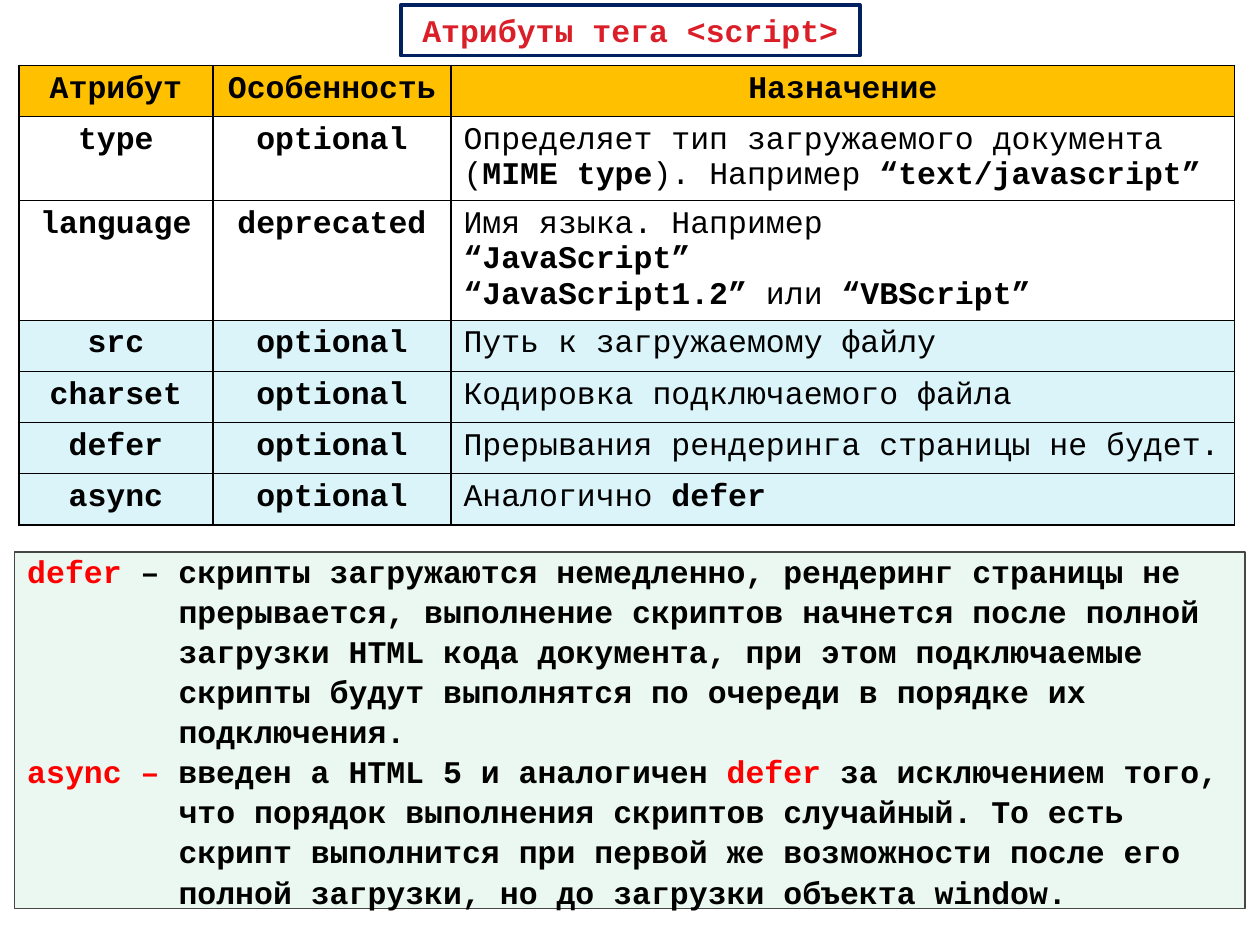
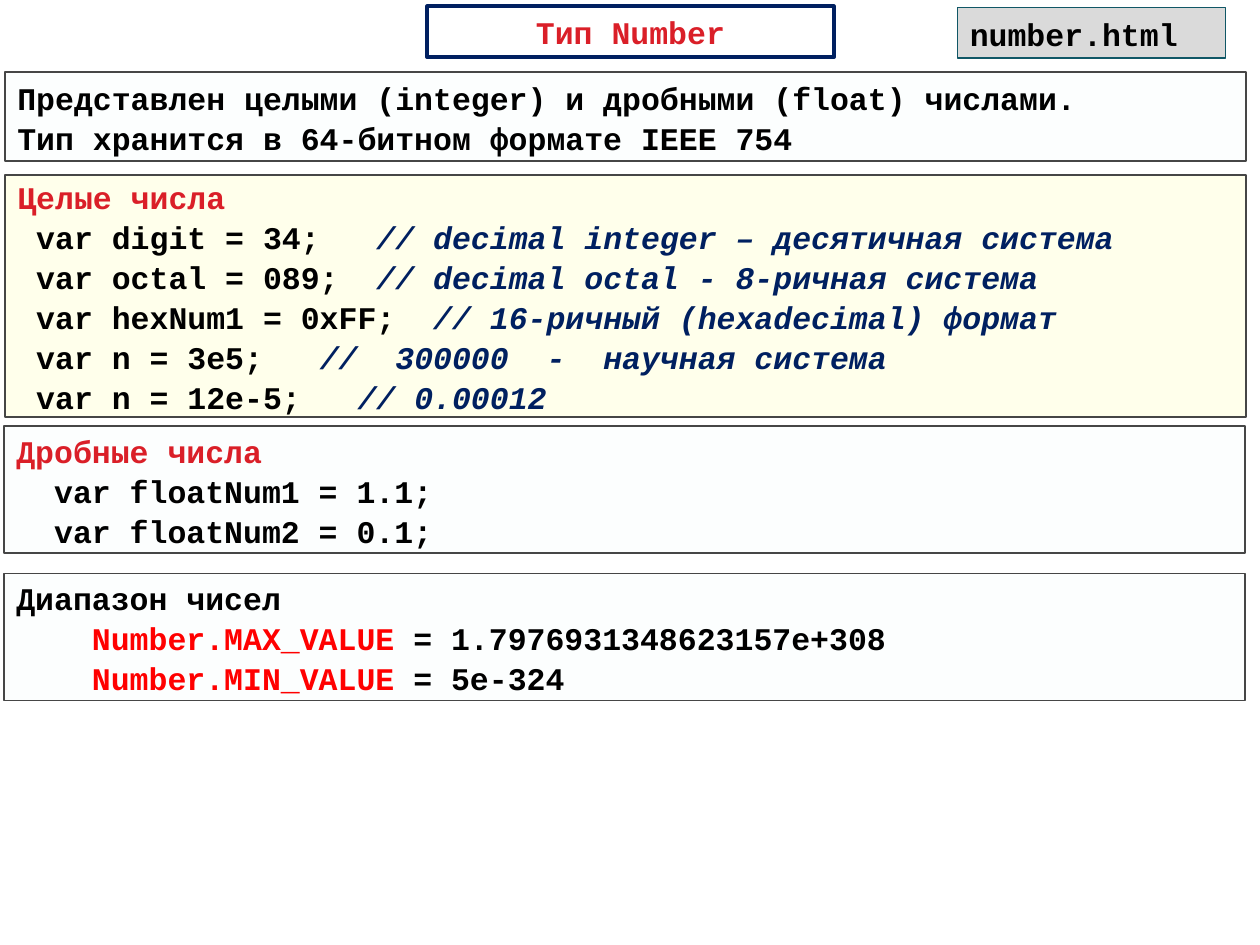
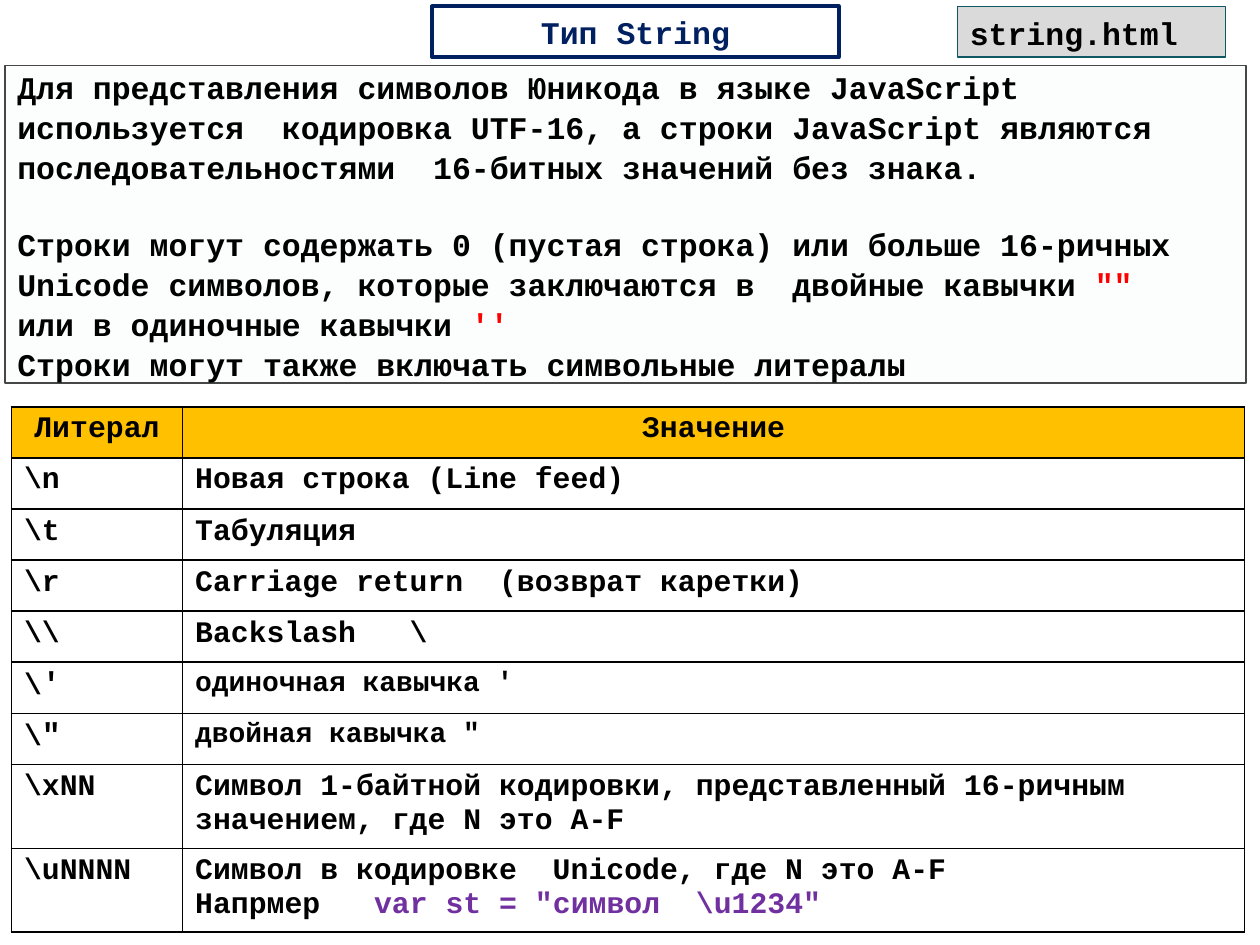
from lxml.etree import SubElement
from pptx import Presentation
from pptx.dml.color import RGBColor
from pptx.enum.shapes import MSO_SHAPE as SHAPE
from pptx.enum.text import MSO_ANCHOR as ANCHOR, MSO_AUTO_SIZE as AUTO, PP_ALIGN as ALIGN
from pptx.oxml.ns import qn
from pptx.util import Cm, Pt

rgb = RGBColor.from_string

# Shared look
FONT = "Courier New"
NAVY, CRIMSON = "002060", "DA1F28"
LINE, TAG_LINE = "464646", "105766"
HEADER, CYAN = ("FFC000", 100), ("B5E9F4", 48)
GREEN, PALE, YELLOW = ("00B050", 8), ("DEF5FA", 8), ("FFFF00", 8)
GREY, WHITE = ("DADADA", 100), ("FFFFFF", 100)
ROW, ROW2, ROW3 = 1.03, 1.69, 2.4
TAG_LEFT, TAG_W, TAG_H = 19.3, 5.41, 1.02
HANG = Cm(3.05)  # eight characters at 18 pt
BLANK_LINE = Pt(21.5)

# Run styles: colour, bold, italic, size (None keeps the size of the text)
STYLES = {
    "": ("000000", True, False, None),
    "plain": ("000000", False, False, None),
    "key": ("FF0000", True, False, None),
    "head": (CRIMSON, True, False, None),
    "navy": (NAVY, True, False, None),
    "note": (NAVY, True, True, None),
    "sample": ("7030A0", True, False, None),
    "large": ("000000", True, False, 18),
    "small": ("000000", True, False, 16),
}


def paint(fill, colour, opacity):
    fill.solid()
    fill.fore_color.rgb = rgb(colour)
    if opacity < 100:
        clr = fill._xPr.find(qn("a:solidFill"))[0]
        SubElement(clr, qn("a:alpha"), val=str(opacity * 1000))


def write(tf, lines, size=18, align=ALIGN.LEFT):
    """Each line is a string or a list of strings and (text, style) pairs."""
    for i, line in enumerate(lines):
        p = tf.paragraphs[0] if i == 0 else tf.add_paragraph()
        p.alignment = align
        for part in [line] if isinstance(line, (str, tuple)) else line:
            text, style = (part, "") if isinstance(part, str) else part
            colour, bold, italic, own_size = STYLES[style]
            r = p.add_run()
            r.text = text
            r.font.name, r.font.size = FONT, Pt(own_size or size)
            r.font.bold, r.font.italic = bold, italic
            r.font.color.rgb = rgb(colour)


prs = Presentation()
prs.slide_width, prs.slide_height = Cm(25.4), Cm(19.05)

# Titles: left, top, width, text, style
titles = [
    (8.08, 0.1, 9.25, "Атрибуты тега <script>", "head"),
    (8.61, 0.13, 8.2, "Тип Number", "head"),
    (8.71, 0.13, 8.2, "Тип String", "navy"),
]
for left, top, width, text, style in titles:
    s = prs.slides.add_slide(prs.slide_layouts[5])
    sp = s.shapes.title
    sp.left, sp.top, sp.width, sp.height = Cm(left), Cm(top), Cm(width), Cm(1.02)
    paint(sp.fill, *WHITE)
    sp.line.color.rgb, sp.line.width = rgb(NAVY), Pt(2.25)
    tf = sp.text_frame
    tf.auto_size, tf.word_wrap, tf.vertical_anchor = AUTO.NONE, True, ANCHOR.MIDDLE
    write(tf, [(text, style)], align=ALIGN.CENTER)

# Text of the boxes
defer_async = [
    [("defer", "key"), " – скрипты загружаются немедленно, рендеринг страницы не "
     "прерывается, выполнение скриптов начнется после полной загрузки HTML кода "
     "документа, при этом подключаемые скрипты будут выполнятся по очереди "
     "в порядке их подключения."],
    [("async – ", "key"), "введен а HTML 5 и аналогичен ", ("defer ", "key"),
     "за исключением того, что порядок выполнения скриптов случайный. То есть "
     "скрипт выполнится при первой же возможности после его полной загрузки, "
     "но до загрузки объекта window."],
]
number_intro = [
    "Представлен целыми (integer) и дробными (float) числами.",
    "Тип хранится в 64-битном формате IEEE 754",
]
integers = [
    ("Целые числа", "head"),
    [" var digit = 34;   ", ("// decimal integer – десятичная система", "note")],
    [" var octal = 089;  ", ("// decimal octal - 8-ричная система", "note")],
    [" var hexNum1 = 0xFF;  ", ("// 16-ричный (hexadecimal) формат", "note")],
    [" var n = 3e5;   ", ("//  300000  -  научная система", "note")],
    [" var n = 12e-5;   ", ("// 0.00012", "note")],
]
floats = [
    ("Дробные числа", "head"),
    "  var floatNum1 = 1.1;",
    "  var floatNum2 = 0.1;",
]
limits = [
    "Диапазон чисел",
    [("    Number.MAX_VALUE", "key"), " = 1.7976931348623157e+308"],
    [("    Number.MIN_VALUE", "key"), " = 5e-324"],
]
string_intro = [
    "Для представления символов Юникода в языке JavaScript используется  кодировка "
    "UTF-16, а строки JavaScript являются последовательностями  16-битных значений "
    "без знака.",
    ["Строки могут содержать 0 (пустая строка) или больше 16-ричных Unicode символов, "
     "которые заключаются в  двойные кавычки ", ('""', "key")],
    ["или в одиночные кавычки ", ("''", "key")],
    "Строки могут также включать символьные литералы",
]

# Boxes: slide, left, top, width, height, fill, line, text
boxes = [
    (0, 0.3, 11.13, 24.8, 7.18, GREEN, LINE, defer_async),
    (1, 0.1, 1.45, 25.02, 1.8, PALE, LINE, number_intro),
    (1, 0.1, 3.53, 25.02, 4.88, YELLOW, LINE, integers),
    (1, 0.08, 8.59, 25.02, 2.56, PALE, LINE, floats),
    (1, 0.08, 11.56, 25.02, 2.56, PALE, LINE, limits),
    (1, TAG_LEFT, 0.15, TAG_W, TAG_H, GREY, TAG_LINE, ["number.html"]),
    (2, TAG_LEFT, 0.13, TAG_W, TAG_H, GREY, TAG_LINE, ["string.html"]),
    (2, 0.1, 1.32, 25.02, 6.4, PALE, LINE, string_intro),
]
for n, left, top, width, height, fill, line, lines in boxes:
    sp = prs.slides[n].shapes.add_shape(
        SHAPE.RECTANGLE, Cm(left), Cm(top), Cm(width), Cm(height))
    sp.shadow.inherit = False
    paint(sp.fill, *fill)
    sp.line.color.rgb, sp.line.width = rgb(line), Pt(0.75)
    tf = sp.text_frame
    tf.word_wrap, tf.vertical_anchor = True, ANCHOR.MIDDLE
    write(tf, lines)
    for p in tf.paragraphs:
        p.line_spacing = 1.06
        if lines is defer_async:
            pPr = p._p.get_or_add_pPr()
            pPr.set("marL", str(HANG))
            pPr.set("indent", str(-HANG))
    if lines is string_intro:
        tf.paragraphs[1].space_before = BLANK_LINE

# Table rows: height, fill, cells (each a list of lines)
attributes = [
    (ROW, HEADER, [["Атрибут"], ["Особенность"], ["Назначение"]]),
    (ROW2, None, [["type"], ["optional"], [
        [("Определяет тип загружаемого документа (", "plain"), "MIME type",
         ("). Например ", "plain"), "“text/javascript”"]]]),
    (ROW3, None, [["language"], ["deprecated"], [
        ("Имя языка. Например", "plain"),
        "“JavaScript”",
        ["“JavaScript1.2”", (" или", "plain"), " “VBScript”"]]]),
    (ROW, CYAN, [["src"], ["optional"], [("Путь к загружаемому файлу", "plain")]]),
    (ROW, CYAN, [["charset"], ["optional"], [("Кодировка подключаемого файла", "plain")]]),
    (ROW, CYAN, [["defer"], ["optional"],
                 [("Прерывания рендеринга страницы не будет.", "plain")]]),
    (ROW, CYAN, [["async"], ["optional"], [[("Аналогично ", "plain"), "defer"]]]),
]
literals = [
    (ROW, HEADER, [["Литерал"], ["Значение"]]),
    (ROW, None, [[r"\n"], ["Новая строка (Line feed)"]]),
    (ROW, None, [[r"\t"], ["Табуляция"]]),
    (ROW, None, [[r"\r"], ["Carriage return  (возврат каретки)"]]),
    (ROW, None, [[r"\\"], ["Backslash   \\"]]),
    (ROW, None, [[["\\", ("'", "large")]], [("одиночная кавычка '", "small")]]),
    (ROW, None, [[["\\", ('"', "large")]], [('двойная кавычка "', "small")]]),
    (ROW2, None, [[r"\xNN"], ["Символ 1-байтной кодировки, представленный 16-ричным "
                              "значением, где N это А-F"]]),
    (ROW2, None, [[r"\uNNNN"], [
        "Символ в кодировке  Unicode, где N это А-F",
        ["Напрмер   ", (r'var st = "символ  \u1234"', "sample")]]]),
]

# Tables: slide, left, top, column widths, text size, centred columns, rows
tables = [
    (0, 0.38, 1.32, [3.91, 4.8, 15.8], 18, 2, attributes),
    (2, 0.23, 8.2, [3.45, 21.41], 17, 0, literals),
]
for n, left, top, widths, size, centred, rows in tables:
    height = sum(row[0] for row in rows)
    table = prs.slides[n].shapes.add_table(
        len(rows), len(widths), Cm(left), Cm(top), Cm(sum(widths)), Cm(height)).table
    table.first_row = table.horz_banding = False
    for c, width in enumerate(widths):
        table.columns[c].width = Cm(width)
    for i, (height, fill, cells) in enumerate(rows):
        table.rows[i].height = Cm(height)
        for c, lines in enumerate(cells):
            cell = table.cell(i, c)
            align = ALIGN.CENTER if i == 0 or c < centred else ALIGN.LEFT
            write(cell.text_frame, lines, size, align)
            tcPr = cell._tc.get_or_add_tcPr()
            for side in ("lnL", "lnR", "lnT", "lnB"):
                ln = SubElement(tcPr, qn("a:" + side), w=str(Pt(1)))
                SubElement(SubElement(ln, qn("a:solidFill")), qn("a:srgbClr"), val="000000")
            if fill:
                paint(cell.fill, *fill)
            else:
                cell.fill.background()

prs.save("out.pptx")
